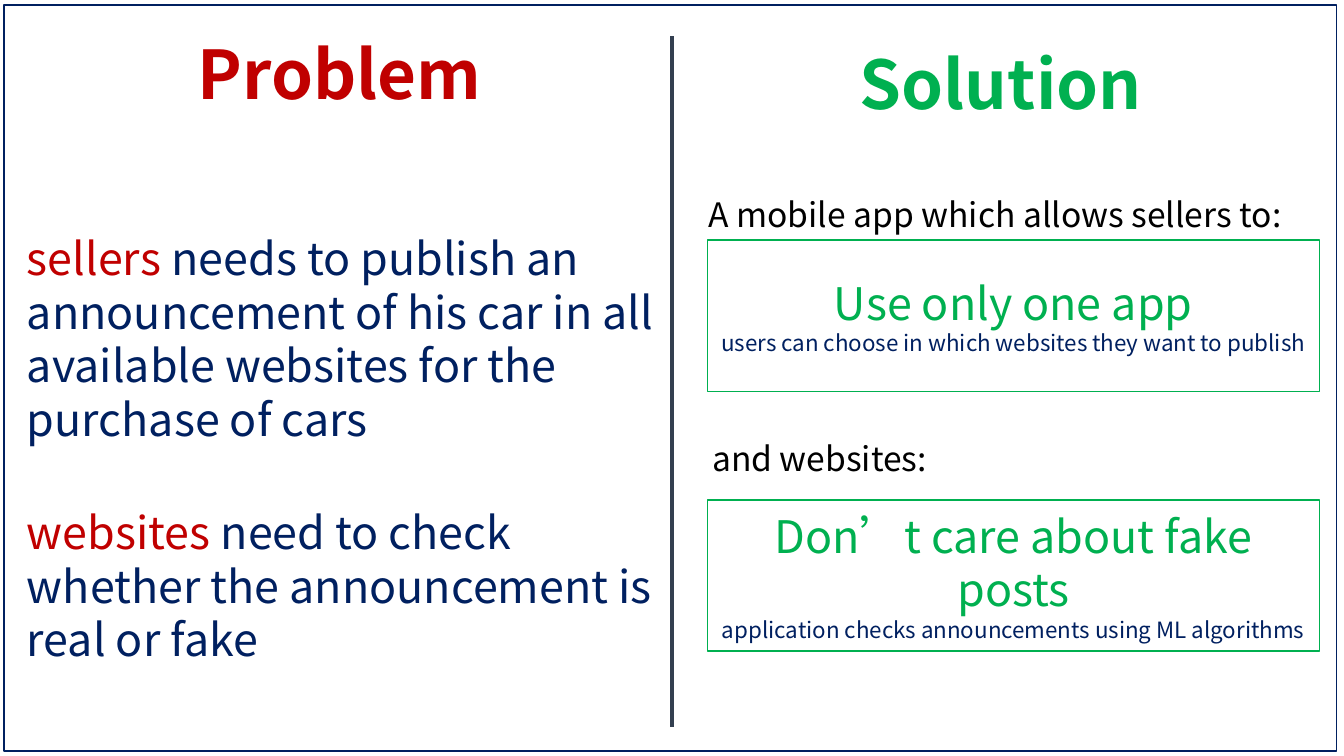
from lxml import etree
from pptx import Presentation
from pptx.dml.color import RGBColor
from pptx.enum.shapes import MSO_CONNECTOR, MSO_SHAPE
from pptx.enum.text import MSO_ANCHOR, MSO_AUTO_SIZE, PP_ALIGN
from pptx.oxml.ns import qn
from pptx.util import Cm, Pt

RECTANGLE = MSO_SHAPE.RECTANGLE
STRAIGHT = MSO_CONNECTOR.STRAIGHT
TOP, MIDDLE = MSO_ANCHOR.TOP, MSO_ANCHOR.MIDDLE
LEFT, CENTER = PP_ALIGN.LEFT, PP_ALIGN.CENTER
GROW, FIXED = MSO_AUTO_SIZE.SHAPE_TO_FIT_TEXT, MSO_AUTO_SIZE.NONE
TITLE_ONLY = 5

FONT = "Noto Sans CJK SC"
COLORS = {
    "white": "FFFFFF",
    "black": "000000",
    "navy": "002060",
    "red": "C00000",
    "green": "00B050",
    "divider": "333F50",
}


def rgb(name):
    return RGBColor.from_string(COLORS[name])


def add_text(paragraph, text, *, size, color, bold=False):
    run = paragraph.add_run()
    run.text = text
    run.font.name = FONT
    run.font.size = Pt(size)
    run.font.bold = bold
    run.font.color.rgb = rgb(color)


class SlideBuilder:
    """Holds the current slide and draws its elements, in centimetres."""

    def __init__(self, slide):
        self.slide = slide
        self.shapes = slide.shapes

    def fill_text(self, frame, paragraphs, align=LEFT, anchor=TOP, gap=0, grow=False):
        """Each paragraph is a list of (text, size, color) runs."""
        frame.word_wrap = True
        frame.auto_size = GROW if grow else FIXED
        frame.vertical_anchor = anchor
        for index, runs in enumerate(paragraphs):
            paragraph = frame.add_paragraph() if index else frame.paragraphs[0]
            paragraph.alignment = align
            paragraph.space_before = Pt(gap if index else 0)
            for text, size, color in runs:
                add_text(paragraph, text, size=size, color=color)

    def heading(self, shape, text, color, line_spacing=1.0):
        frame = shape.text_frame
        self.fill_text(frame, [[]], align=CENTER)
        frame.paragraphs[0].line_spacing = line_spacing
        add_text(frame.paragraphs[0], text, size=48, color=color, bold=True)

    def title(self, left, top, width, height, text, color):
        title = self.shapes.title
        title.left, title.top = Cm(left), Cm(top)
        title.width, title.height = Cm(width), Cm(height)
        self.heading(title, text, color, line_spacing=0.9)

    def text_box(self, left, top, width, height):
        return self.shapes.add_textbox(Cm(left), Cm(top), Cm(width), Cm(height))

    def panel(self, left, top, width, height, line):
        panel = self.shapes.add_shape(
            RECTANGLE, Cm(left), Cm(top), Cm(width), Cm(height))
        panel.shadow.inherit = False
        panel.fill.solid()
        panel.fill.fore_color.rgb = rgb("white")
        panel.line.color.rgb = rgb(line)
        panel.line.width = Pt(1)
        return panel

    def vertical_line(self, x, top, bottom, color, width):
        line = self.shapes.add_connector(STRAIGHT, Cm(x), Cm(top), Cm(x), Cm(bottom))
        line.line.color.rgb = rgb(color)
        line.line.width = Pt(width)
        etree.SubElement(line._element.spPr, qn("a:effectLst"))

    def send_to_back(self, shape):
        self.shapes._spTree.insert(2, shape._element)


def main():
    prs = Presentation()
    prs.slide_width, prs.slide_height = Cm(33.87), Cm(19.05)
    builder = SlideBuilder(prs.slides.add_slide(prs.slide_layouts[TITLE_ONLY]))

    # Page border, behind the title
    border = builder.panel(0.1, 0.13, 33.58, 18.8, line="navy")
    builder.send_to_back(border)

    # Headings and divider
    builder.title(0.61, 0.91, 15.9, 2.39, "Problem", "red")
    builder.vertical_line(16.94, 0.91, 18.31, "divider", 3)
    solution_heading = builder.text_box(17.22, 0.94, 16, 2.39)
    builder.heading(solution_heading, "Solution", "green")

    # Problem: one paragraph per group concerned
    problems = builder.text_box(0.43, 4.11, 16.51, 14.02).text_frame
    problems.margin_top = Cm(1.7)
    builder.fill_text(problems, [
        [("sellers ", 32, "red"),
         ("needs to publish an announcement of his car in all available "
          "websites for the purchase of cars", 32, "navy")],
        [("websites", 32, "red"),
         (" need to check whether the announcement is real or fake", 32, "navy")],
    ], gap=42)

    # Solution: a benefit card for each group
    benefits = [
        (6.05, "Use only one app",
         "users can choose in which websites they want to publish"),
        (12.6, "Don’t care about fake posts",
         "application checks announcements using ML algorithms"),
    ]
    for top, benefit, detail in benefits:
        card = builder.panel(17.83, top, 15.42, 3.81, line="green")
        builder.fill_text(
            card.text_frame,
            [[(benefit, 32, "green")], [(detail, 16, "navy")]],
            align=CENTER, anchor=MIDDLE)

    # Lead-ins above the cards
    lead_ins = [
        (17.6, 4.75, "A mobile app which allows sellers to:"),
        (17.7, 10.9, "and websites:"),
    ]
    for left, top, lead_in in lead_ins:
        box = builder.text_box(left, top, 15.65, 1.27)
        builder.fill_text(box.text_frame, [[(lead_in, 24, "black")]], grow=True)

    prs.save("out.pptx")


if __name__ == "__main__":
    main()
